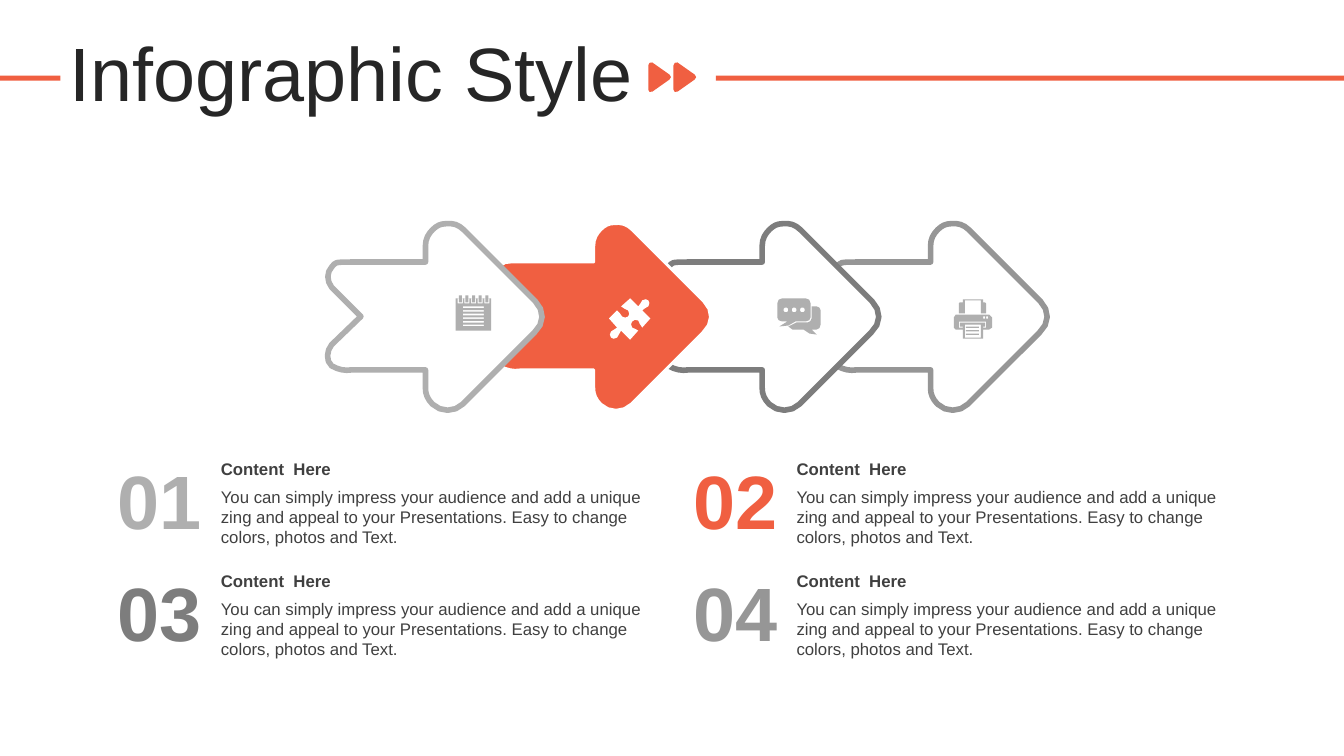
"""Build the Infographic Style slide: a chain of four arrows and four captions."""
import math
from dataclasses import dataclass

from pptx import Presentation
from pptx.dml.color import RGBColor
from pptx.enum.shapes import MSO_SHAPE
from pptx.enum.text import MSO_ANCHOR, MSO_AUTO_SIZE, PP_ALIGN
from pptx.shapes.autoshape import Shape
from pptx.slide import Slide
from pptx.util import Inches, Pt

RECTANGLE = MSO_SHAPE.RECTANGLE
TOP, MIDDLE = MSO_ANCHOR.TOP, MSO_ANCHOR.MIDDLE
NO_FIT, GROW = MSO_AUTO_SIZE.NONE, MSO_AUTO_SIZE.SHAPE_TO_FIT_TEXT
LEFT, RIGHT = PP_ALIGN.LEFT, PP_ALIGN.RIGHT

COLORS = {
    "orange": "F05F41", "light": "AFAFAF", "dark": "7D7D7D", "medium": "969696",
    "white": "FFFFFF", "title": "262626", "body": "404040",
}
FONT = "Arial"
HEADING = "Content  Here"
BODY = ("You can simply impress your audience and add a unique zing and appeal "
        "to your Presentations. Easy to change colors, photos and Text.")
ARROW_STEP = 1.67
COLUMN_STEP, ROW_STEP = 5.71, 1.11

Point = tuple[float, float]
Contour = list[Point]
Box = tuple[float, float, float, float]

CHEVRON = """M 6.64,0.79 L 6.47,0.91 C 6.45,0.92 6.43,0.91 6.43,0.89 L 6.43,0.65
 C 6.43,0.63 6.45,0.61 6.47,0.62 L 6.64,0.74 C 6.66,0.75 6.66,0.78 6.64,0.79"""
ARROW = """M 4.42,2.22 C 4.49,2.21 4.55,2.23 4.6,2.28
 L 5.31,2.99 C 5.4,3.08 5.4,3.21 5.3,3.3
 L 4.59,4.01 C 4.51,4.09 4.37,4.09 4.29,4.01 4.24,3.96 4.22,3.91 4.22,3.85
 L 4.22,3.67 3.49,3.67 C 3.42,3.68 3.36,3.67 3.29,3.63 3.23,3.58 3.24,3.48 3.29,3.42
 L 3.58,3.14 3.29,2.85 C 3.24,2.79 3.24,2.7 3.29,2.65 3.33,2.6 3.32,2.6 3.49,2.6
 L 4.22,2.6 4.22,2.44 C 4.22,2.37 4.25,2.32 4.29,2.28 4.33,2.24 4.37,2.22 4.42,2.22"""
PUZZLE = """M 6.43,2.98 C 6.44,2.99 6.45,3.02 6.43,3.04 6.41,3.06 6.39,3.05 6.37,3.08
 L 6.45,3.16 6.37,3.25 C 6.34,3.23 6.35,3.2 6.33,3.18 6.31,3.17 6.28,3.17 6.27,3.19
 6.26,3.2 6.25,3.23 6.27,3.25 6.3,3.27 6.31,3.26 6.33,3.28 L 6.25,3.37 6.16,3.28
 C 6.13,3.31 6.15,3.32 6.12,3.35 6.1,3.37 6.07,3.36 6.06,3.35
 6.05,3.33 6.04,3.31 6.06,3.29 6.08,3.26 6.1,3.28 6.12,3.25 L 6.04,3.16 6.12,3.08
 C 6.16,3.1 6.14,3.12 6.17,3.14 6.19,3.16 6.21,3.15 6.23,3.14
 6.24,3.13 6.25,3.1 6.23,3.08 6.2,3.06 6.19,3.07 6.16,3.04 L 6.25,2.96 6.33,3.04
 C 6.36,3.02 6.34,3.01 6.37,2.98 6.39,2.96 6.42,2.97 6.43,2.98"""
BUBBLES = """M 8.05,3.04 L 8.1,3.04 C 8.12,3.04 8.14,3.06 8.14,3.08 L 8.14,3.22
 C 8.14,3.25 8.12,3.27 8.1,3.27 L 8.05,3.27 8.1,3.32 8.03,3.31 7.97,3.27 7.86,3.27
 7.82,3.24 7.9,3.2 8.01,3.2 C 8.03,3.2 8.05,3.18 8.05,3.16
 M 7.76,2.96 L 7.99,2.96 C 8.02,2.96 8.04,2.98 8.04,3.01 L 8.04,3.15
 C 8.04,3.17 8.02,3.19 7.99,3.19 L 7.89,3.19 7.82,3.23 7.73,3.24 7.81,3.19 7.76,3.19
 C 7.73,3.19 7.71,3.17 7.71,3.15 L 7.71,3.01 C 7.71,2.98 7.73,2.96 7.76,2.96"""
PRINTER = """M 9.48,3.12 L 9.81,3.12 9.84,3.15 9.84,3.25 9.81,3.27 9.75,3.27 9.75,3.36
 9.55,3.36 9.55,3.27 9.48,3.27 9.46,3.25 9.46,3.15
 M 9.51,3.19 L 9.51,3.25 9.55,3.25 9.55,3.24 9.52,3.24 9.52,3.2 9.77,3.2 9.77,3.24
 9.75,3.24 9.75,3.25 9.78,3.25 9.78,3.19 M 9.57,3.22 L 9.57,3.35 9.73,3.35 9.73,3.22
 M 9.55,2.97 L 9.75,2.97 9.75,3 9.77,3 9.78,3.01 9.78,3.11 9.73,3.11
 9.73,2.98 9.57,2.98 9.57,3.11 9.51,3.11 9.51,3.01 9.52,3 9.55,3"""


@dataclass
class Step:
    number: str
    color: str
    fill: str = "white"
    line: str = ""
    line_width: float = 4


@dataclass
class TextStyle:
    size: int
    color: str
    bold: bool = False
    align: PP_ALIGN = LEFT
    anchor: MSO_ANCHOR = MIDDLE
    insets: Box = (0, 0.05, 0.1, 0.05)
    fit: MSO_AUTO_SIZE = GROW
    line_spacing: float = 1.0


STEPS = [
    Step("01", "light"),
    Step("02", "orange", fill="orange", line="white", line_width=2),
    Step("03", "dark"),
    Step("04", "medium"),
]
TITLE_STYLE = TextStyle(54, "title", insets=(0.1, 0.05, 0.1, 0.05), fit=NO_FIT, line_spacing=0.9)
NUMBER_STYLE = TextStyle(54, "", bold=True, align=RIGHT, insets=(0, 0, 0, 0))
HEADING_STYLE = TextStyle(12, "body", bold=True)
BODY_STYLE = TextStyle(12, "body", anchor=TOP)


def rgb(name: str) -> RGBColor:
    return RGBColor.from_string(COLORS[name])


def trace(outline: str, shift: float = 0, pieces: int = 2) -> list[Contour]:
    contours: list[Contour] = []
    command, pending = "", []
    for token in outline.split():
        if token in "MLC":
            command = token
            continue
        x, y = map(float, token.split(","))
        point = (x + shift, y)
        if command == "M":
            contours.append([point])
        elif command == "L":
            contours[-1].append(point)
        else:
            pending.append(point)
            if len(pending) == 3:
                curve = [contours[-1][-1], *pending]
                for t in (piece / pieces for piece in range(1, pieces + 1)):
                    weights = [math.comb(3, k) * t**k * (1 - t) ** (3 - k) for k in range(4)]
                    contours[-1].append((sum(w * p[0] for w, p in zip(weights, curve)),
                                         sum(w * p[1] for w, p in zip(weights, curve))))
                pending = []
    return contours


def rectangle(left: float, top: float, width: float, height: float) -> Contour:
    right, bottom = left + width, top + height
    return [(left, top), (right, top), (right, bottom), (left, bottom)]


def disc(center_x: float, center_y: float, radius: float) -> Contour:
    angles = [math.pi * (part + 0.5) / 4 for part in range(8)]
    return [(center_x + radius * math.cos(a), center_y + radius * math.sin(a)) for a in angles]


def paint(shape: Shape, fill: str, line: str = "", line_width: float = 0) -> None:
    shape.shadow.inherit = False
    shape.fill.solid()
    shape.fill.fore_color.rgb = rgb(fill)
    if line:
        shape.line.color.rgb = rgb(line)
        shape.line.width = Pt(line_width)
    else:
        shape.line.fill.background()


def add_outline(slide: Slide, contours: list[Contour], fill: str, line: str = "", line_width: float = 0) -> None:
    builder = None
    for contour in contours:
        points = [(Inches(x), Inches(y)) for x, y in contour]
        if builder is None:
            builder = slide.shapes.build_freeform(*points[0])
        else:
            builder.move_to(*points[0])
        builder.add_line_segments(points[1:], close=True)
    paint(builder.convert_to_shape(), fill, line, line_width)


def add_text(slide: Slide, box: Box, text: str, style: TextStyle, color: str = "") -> None:
    frame = slide.shapes.add_textbox(*map(Inches, box)).text_frame
    frame.word_wrap = True
    frame.auto_size = style.fit
    frame.vertical_anchor = style.anchor
    frame.margin_left, frame.margin_top, frame.margin_right, frame.margin_bottom = map(Inches, style.insets)
    frame.text = text
    paragraph = frame.paragraphs[0]
    paragraph.alignment = style.align
    paragraph.line_spacing = style.line_spacing
    font = paragraph.runs[0].font
    font.name, font.size, font.bold = FONT, Pt(style.size), style.bold
    font.color.rgb = rgb(color or style.color)


def add_header(slide: Slide) -> None:
    for shift in (0.25, 0):
        add_outline(slide, trace(CHEVRON, shift), "orange")
    for left, width in ((7.1, 6.23), (0, 0.6)):
        paint(slide.shapes.add_shape(RECTANGLE, *map(Inches, (left, 0.75, width, 0.05))), "orange")
    add_text(slide, (0.59, 0.37, 12.42, 0.79), "Infographic Style", TITLE_STYLE)


def add_icons(slide: Slide) -> None:
    notepad = [rectangle(4.52, 2.96, 0.35, 0.32)]
    notepad += [rectangle(4.59, 3.04 + 0.036 * row, 0.21, 0.016) for row in range(6)]
    for ring in range(5):
        left = 4.54 + 0.066 * ring
        notepad += [rectangle(left, 2.96, 0.05, 0.05), rectangle(left + 0.01, 2.93, 0.03, 0.07)]
    dots = [disc(7.795 + 0.082 * dot, 3.075, 0.025) for dot in range(3)]
    sheet_lines = [rectangle(9.58, 3.24 + 0.035 * row, 0.13, 0.013) for row in range(3)]
    lights = [rectangle(left, 3.14, 0.02, 0.02) for left in (9.75, 9.78)]
    add_outline(slide, notepad, "light")
    add_outline(slide, trace(PRINTER) + sheet_lines + lights, "light")
    add_outline(slide, trace(PUZZLE), "white")
    add_outline(slide, trace(BUBBLES) + dots, "light")


def main() -> None:
    presentation = Presentation()
    presentation.slide_width, presentation.slide_height = Inches(13.33), Inches(7.5)
    slide = presentation.slides.add_slide(presentation.slide_layouts[6])
    add_header(slide)
    for index, step in reversed(list(enumerate(STEPS))):
        arrow = trace(ARROW, index * ARROW_STEP, pieces=4)
        add_outline(slide, arrow, step.fill, step.line or step.color, step.line_width)
    for index, step in enumerate(STEPS):
        left, top = 1.06 + index % 2 * COLUMN_STEP, 4.5 + index // 2 * ROW_STEP
        add_text(slide, (left + 1.13, top, 4.45, 0.3), HEADING, HEADING_STYLE)
        add_text(slide, (left + 1.13, top + 0.28, 4.45, 0.71), BODY, BODY_STYLE)
        add_text(slide, (left, top, 0.94, 0.91), step.number, NUMBER_STYLE, step.color)
    add_icons(slide)
    presentation.save("out.pptx")


if __name__ == "__main__":
    main()
